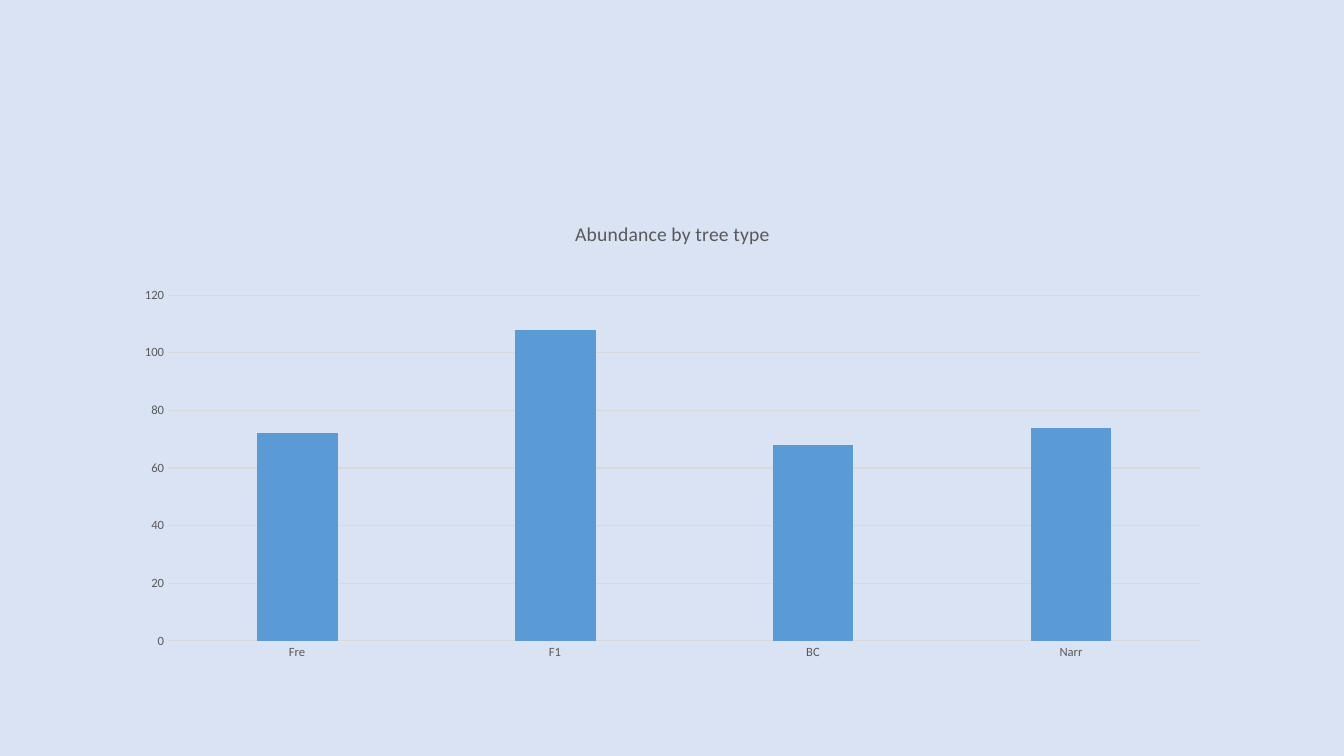
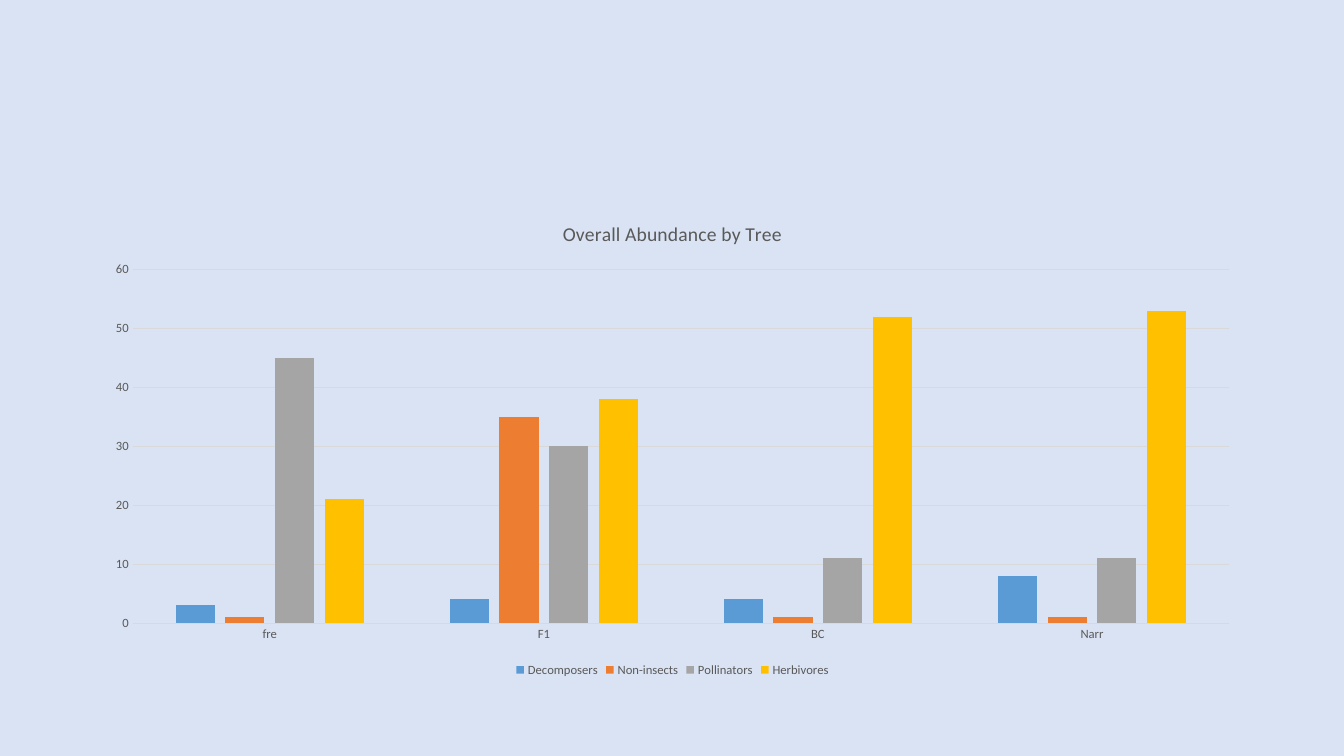
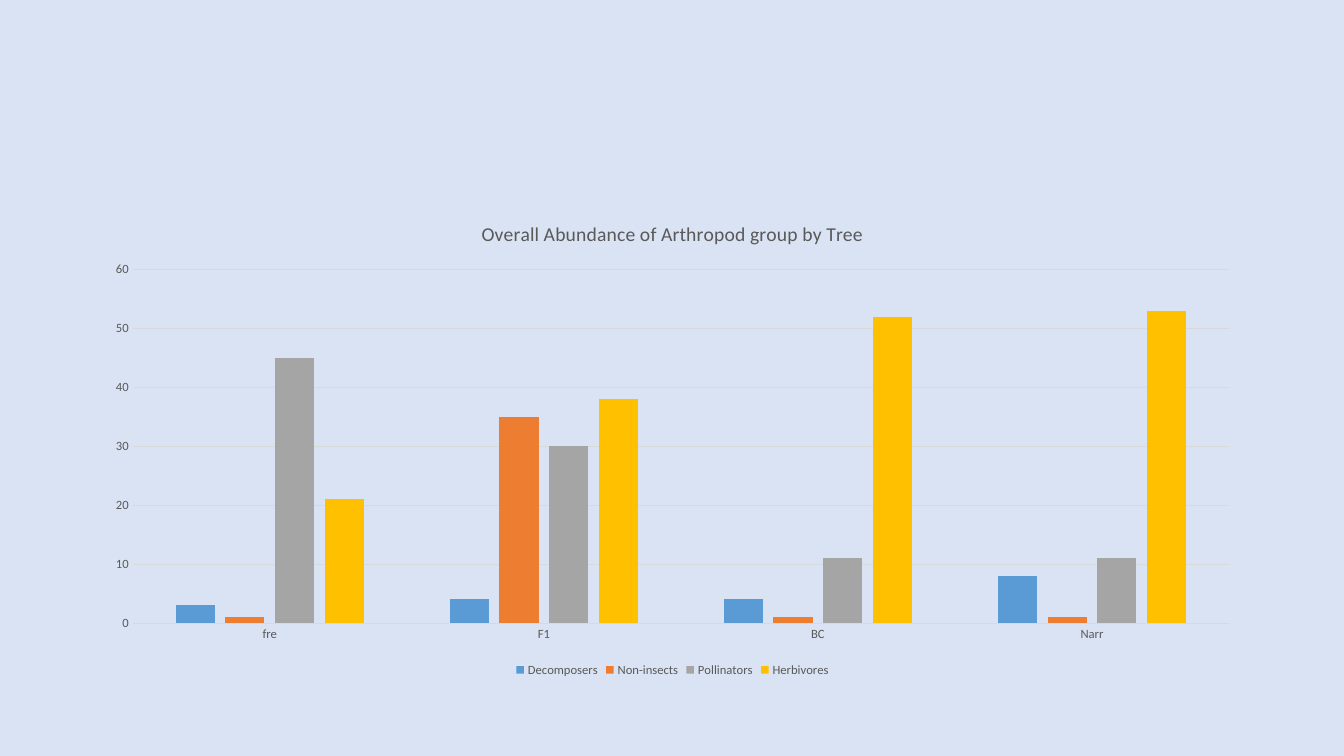
from pptx import Presentation
from pptx.chart.data import CategoryChartData
from pptx.dml.color import RGBColor
from pptx.enum.chart import XL_CHART_TYPE, XL_LEGEND_POSITION, XL_TICK_MARK
from pptx.oxml import parse_xml
from pptx.oxml.ns import nsdecls
from pptx.util import Inches, Pt

BACKGROUND = "DAE3F3"
TEXT = "595959"
GRID = "D9D9D9"
SERIES_COLORS = ["5B9BD5", "ED7D31", "A5A5A5", "FFC000"]
FONT = "Calibri"


def color(value):
    return RGBColor.from_string(value)


def style_font(font, size):
    font.name = FONT
    font.size = Pt(size)
    font.bold = False
    font.color.rgb = color(TEXT)


tree_totals = {"Series 1": [72, 108, 68, 74]}
group_totals = {
    "Decomposers": [3, 4, 4, 8],
    "Non-insects": [1, 35, 1, 1],
    "Pollinators": [45, 30, 11, 11],
    "Herbivores": [21, 38, 52, 53],
}
group_trees = ["fre", "F1", "BC", "Narr"]
chart_slides = [
    ("Abundance by tree type", ["Fre", "F1", "BC", "Narr"], tree_totals,
     {"x": 0.065, "y": 0.195, "w": 0.89, "h": 0.721}),
    ("Overall Abundance by Tree", group_trees, group_totals, None),
    ("Overall Abundance of Arthropod group by Tree", group_trees, group_totals, None),
]

presentation = Presentation()
presentation.slide_width = Inches(13.33)
presentation.slide_height = Inches(7.5)
background = presentation.slide_master.background.fill
background.solid()
background.fore_color.rgb = color(BACKGROUND)

for title, trees, groups, plot_area in chart_slides:
    slide = presentation.slides.add_slide(presentation.slide_layouts[6])
    chart_data = CategoryChartData()
    chart_data.categories = trees
    for name, values in groups.items():
        chart_data.add_series(name, values)
    chart = slide.shapes.add_chart(
        XL_CHART_TYPE.COLUMN_CLUSTERED,
        Inches(0.92), Inches(2), Inches(11.5), Inches(4.76), chart_data,
    ).chart
    style_font(chart.font, 10)

    chart.has_title = True
    title_frame = chart.chart_title.text_frame
    title_frame.text = title
    style_font(title_frame.paragraphs[0].runs[0].font, 14)

    chart.has_legend = len(groups) > 1
    if chart.has_legend:
        chart.legend.position = XL_LEGEND_POSITION.BOTTOM
        chart.legend.include_in_layout = False
        style_font(chart.legend.font, 9)

    for axis in (chart.category_axis, chart.value_axis):
        axis.major_tick_mark = XL_TICK_MARK.NONE
        axis.minor_tick_mark = XL_TICK_MARK.NONE
        style_font(axis.tick_labels.font, 9)
    chart.value_axis.format.line.fill.background()
    chart.value_axis.has_major_gridlines = True
    for line in (chart.category_axis.format.line,
                 chart.value_axis.major_gridlines.format.line):
        line.color.rgb = color(GRID)
        line.width = Pt(0.75)

    plot = chart.plots[0]
    plot.gap_width = 219
    plot.overlap = -27
    plot.vary_by_categories = False
    for series, series_color in zip(plot.series, SERIES_COLORS):
        series.format.fill.solid()
        series.format.fill.fore_color.rgb = color(series_color)

    if plot_area:
        sizes = "".join(f'<c:{key} val="{value}"/>' for key, value in plot_area.items())
        layout = parse_xml(
            f'<c:layout {nsdecls("c")}><c:manualLayout><c:layoutTarget val="inner"/>'
            f'<c:xMode val="edge"/><c:yMode val="edge"/>{sizes}'
            '</c:manualLayout></c:layout>'
        )
        plot_element = chart.element.chart.plotArea
        for old_layout in plot_element.xpath("c:layout"):
            plot_element.remove(old_layout)
        plot_element.insert(0, layout)

presentation.save("out.pptx")
